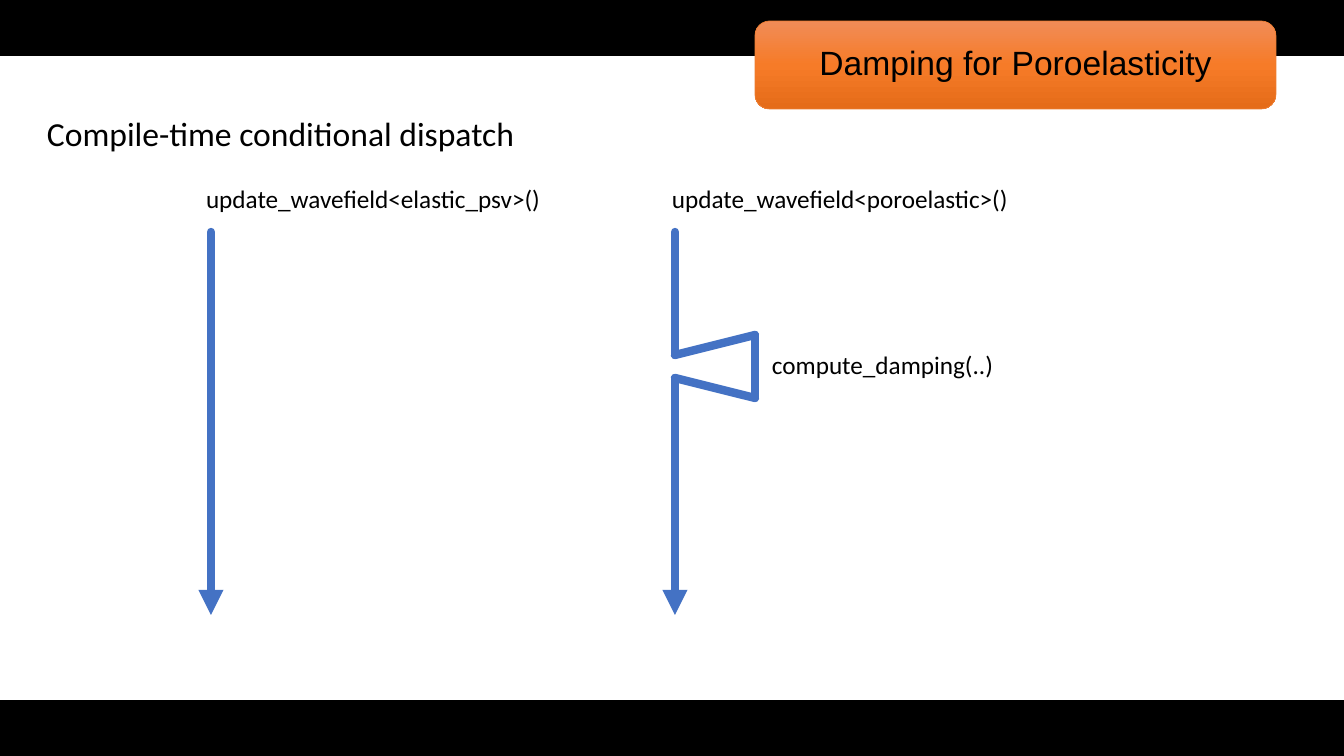
from copy import deepcopy
from itertools import pairwise

from pptx import Presentation
from pptx import util as u
from pptx.dml.color import RGBColor
from pptx.enum import shapes, text
from pptx.oxml.ns import qn
from pptx.oxml.xmlchemy import OxmlElement

PX = 914400 / 100.8
BLACK = RGBColor(0x00, 0x00, 0x00)
BLUE = RGBColor(0x44, 0x72, 0xC4)
ORANGE = RGBColor(0xED, 0x7D, 0x31)
BADGE_STOPS = [
    (0, RGBColor(0xF1, 0x8C, 0x57)),
    (0.5, RGBColor(0xF6, 0x7B, 0x28)),
    (1, RGBColor(0xE5, 0x6C, 0x19)),
]

WIDTH, HEIGHT, BAND = 1344, 756, 56
TITLE = ("Damping for Poroelasticity", (755, 21, 521, 88))
HEADING = ("Compile-time conditional dispatch", (37, 108, 498, 50))
CALLS = [
    ("update_wavefield<elastic_psv>()", (206, 183, 376, 30)),
    ("update_wavefield<poroelastic>()", (672, 183, 657, 30)),
    ("compute_damping(..)", (772, 349, 326, 30)),
]
ELASTIC_X, PORO_X, DAMPING_X = 211, 675, 755
START, END = 232, 615
FLOWS = [
    [(ELASTIC_X, START), (ELASTIC_X, END)],
    [(PORO_X, START), (PORO_X, 355), (DAMPING_X, 335),
     (DAMPING_X, 398), (PORO_X, 378), (PORO_X, END)],
]


def emu(*lengths):
    return [u.Emu(round(length * PX)) for length in lengths]


def write(frame, words, size, font):
    frame.word_wrap = True
    line = frame.paragraphs[0]
    line.text = words
    line.font.size = u.Pt(size)
    line.font.name = font
    line.font.color.rgb = BLACK
    return line


def add_label(slide, words, box, size, inset=None):
    frame = slide.shapes.add_textbox(*emu(*box)).text_frame
    if inset is not None:
        frame.margin_left = frame.margin_right = inset
        frame.margin_top = frame.margin_bottom = inset
    write(frame, words, size, "Calibri")


def add_band(slide, top):
    band = slide.shapes.add_shape(
        shapes.MSO_SHAPE.RECTANGLE, *emu(0, top, WIDTH, BAND))
    band.shadow.inherit = False
    band.fill.solid()
    band.fill.fore_color.rgb = BLACK
    band.line.fill.background()


def add_badge(slide, words, box):
    badge = slide.shapes.add_shape(
        shapes.MSO_SHAPE.ROUNDED_RECTANGLE, *emu(*box))
    badge.shadow.inherit = False
    badge.line.color.rgb = ORANGE
    badge.line.width = u.Pt(0.5)
    badge.fill.gradient()
    badge.fill.gradient_angle = 270
    stops = badge.fill._xPr.find(".//" + qn("a:gsLst"))
    stops.append(deepcopy(stops[0]))
    for stop, (position, color) in zip(badge.fill.gradient_stops, BADGE_STOPS):
        stop.position = position
        stop.color.rgb = color
    badge.text_frame.vertical_anchor = text.MSO_ANCHOR.MIDDLE
    title = write(badge.text_frame, words, 24, "Arial")
    title.alignment = text.PP_ALIGN.CENTER
    title.line_spacing = 0.9


def add_step(slide, start, end, arrow):
    step = slide.shapes.add_connector(
        shapes.MSO_CONNECTOR.STRAIGHT, *emu(*start, *end))
    step.line.color.rgb = BLUE
    step.line.width = u.Pt(6)
    outline = step.get_or_add_ln()
    outline.set("cap", "rnd")
    if arrow:
        head = OxmlElement("a:tailEnd")
        head.set("type", "triangle")
        outline.append(head)
    step._element.spPr.append(OxmlElement("a:effectLst"))


def main():
    deck = Presentation()
    deck.slide_width, deck.slide_height = emu(WIDTH, HEIGHT)
    slide = deck.slides.add_slide(deck.slide_layouts[6])
    for top in (HEIGHT - BAND, 0):
        add_band(slide, top)
    add_badge(slide, *TITLE)
    add_label(slide, *HEADING, 24)
    for flow in FLOWS:
        for start, end in pairwise(flow):
            add_step(slide, start, end, end == flow[-1])
    for words, box in CALLS:
        add_label(slide, words, box, 18, inset=0)
    deck.save("out.pptx")


if __name__ == "__main__":
    main()
